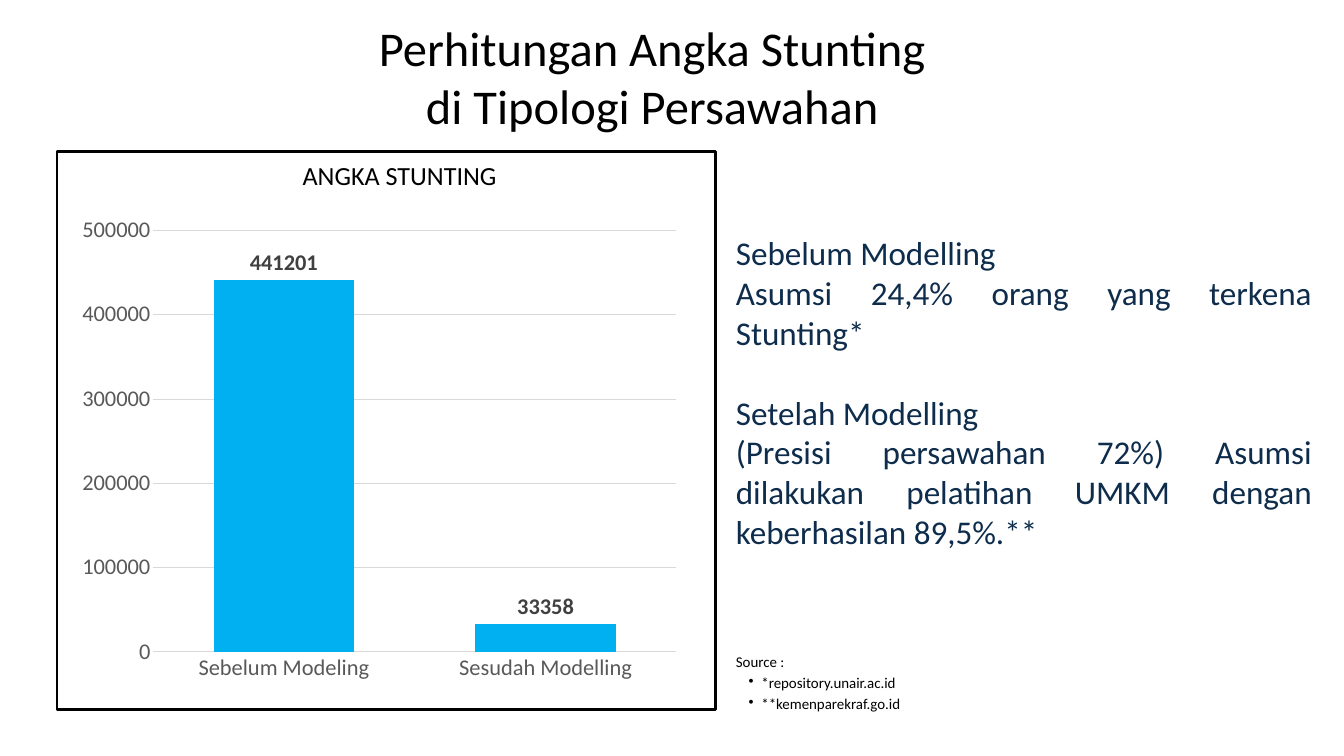
from dataclasses import dataclass

from lxml import etree
from pptx import Presentation
from pptx.chart import data as chart_data
from pptx.dml import color
from pptx.enum import chart as charts
from pptx.enum import shapes, text
from pptx.oxml import ns
from pptx.util import Inches, Pt


@dataclass(frozen=True)
class Theme:
    font: str = "Calibri"
    ink: str = "000000"
    navy: str = "0E2C4B"
    bar: str = "00B0F0"
    axis: str = "595959"
    grid: str = "D9D9D9"
    value: str = "404040"
    title: float = 52
    body: float = 35.5
    heading: float = 28
    chart: float = 24
    source: float = 16


class SlideBuilder:
    """Draws styled elements on one slide."""

    def __init__(self, slide, theme):
        self.slide = slide
        self.theme = theme

    def style(self, font, size, ink, bold=False):
        font.name = self.theme.font
        font.size = Pt(size)
        font.bold = bold
        font.color.rgb = color.RGBColor.from_string(ink)

    def fill_text(self, frame, lines, size, ink, spacing, align):
        frame.margin_left = frame.margin_right = 0
        frame.margin_top = frame.margin_bottom = 0
        frame.word_wrap = True
        frame.auto_size = text.MSO_AUTO_SIZE.NONE
        frame.vertical_anchor = text.MSO_ANCHOR.TOP
        frame.text = "\n".join(lines)
        for paragraph in frame.paragraphs:
            paragraph.alignment = align
            paragraph.line_spacing = Pt(spacing)
            paragraph.space_before = Pt(0)
            for run in paragraph.runs:
                self.style(run.font, size, ink)
        return frame.paragraphs

    def title(self, box, lines, spacing):
        heading = self.slide.shapes.title
        heading.left, heading.top, heading.width, heading.height = map(Inches, box)
        self.fill_text(heading.text_frame, lines, self.theme.title, self.theme.ink,
                       spacing, text.PP_ALIGN.CENTER)

    def text(self, box, lines, size, ink, spacing, align=text.PP_ALIGN.LEFT):
        frame = self.slide.shapes.add_textbox(*map(Inches, box)).text_frame
        return self.fill_text(frame, lines, size, ink, spacing, align)

    def bullet(self, paragraph):
        properties = paragraph._p.get_or_add_pPr()
        properties.set("marL", str(Inches(0.38)))
        properties.set("indent", str(Inches(-0.19)))
        mark = etree.SubElement(properties, ns.qn("a:buChar"))
        mark.set("char", "•")

    def frame(self, box):
        border = self.slide.shapes.add_shape(shapes.MSO_SHAPE.RECTANGLE, *map(Inches, box))
        border.shadow.inherit = False
        border.fill.background()
        border.line.color.rgb = color.RGBColor.from_string(self.theme.ink)
        border.line.width = Pt(3)

    def hairline(self, line):
        line.color.rgb = color.RGBColor.from_string(self.theme.grid)
        line.width = Pt(0.75)

    def column_chart(self, box, categories, name, values, top, step):
        theme = self.theme
        data = chart_data.CategoryChartData()
        data.categories = categories
        data.add_series(name, values)
        chart = self.slide.shapes.add_chart(
            charts.XL_CHART_TYPE.COLUMN_CLUSTERED, *map(Inches, box), data).chart
        chart.has_title = False
        chart.has_legend = False
        self.style(chart.font, theme.chart, theme.ink)

        for axis in (chart.category_axis, chart.value_axis):
            axis.major_tick_mark = axis.minor_tick_mark = charts.XL_TICK_MARK.NONE
            self.style(axis.tick_labels.font, theme.chart, theme.axis)
        self.hairline(chart.category_axis.format.line)
        scale = chart.value_axis
        scale.minimum_scale, scale.maximum_scale, scale.major_unit = 0, top, step
        scale.format.line.fill.background()
        self.hairline(scale.major_gridlines.format.line)

        plot = chart.plots[0]
        plot.vary_by_categories = False
        plot.gap_width, plot.overlap = 86, 82
        bars = plot.series[0]
        bars.format.fill.solid()
        bars.format.fill.fore_color.rgb = color.RGBColor.from_string(theme.bar)
        labels = bars.data_labels
        labels.show_value = True
        labels.position = charts.XL_LABEL_POSITION.OUTSIDE_END
        self.style(labels.font, theme.chart, theme.value, bold=True)


def main():
    deck = Presentation()
    deck.slide_width, deck.slide_height = Inches(20), Inches(11.25)
    theme = Theme()
    builder = SlideBuilder(deck.slides.add_slide(deck.slide_layouts[5]), theme)

    builder.frame((0.85, 2.25, 9.8, 8.31))
    builder.title((1.33, 0.27, 16.75, 1.72),
                  ["Perhitungan Angka Stunting", "di Tipologi Persawahan"], 62.4)

    assumptions = builder.text(
        (10.95, 3.46, 8.58, 5.25),
        ["Sebelum Modelling",
         "Asumsi 24,4% orang yang terkena Stunting*",
         "Setelah Modelling",
         "(Presisi persawahan 72%) Asumsi dilakukan pelatihan UMKM "
         "dengan keberhasilan 89,5%.**"],
        theme.body, theme.navy, 42.7, text.PP_ALIGN.JUSTIFY)
    assumptions[2].space_before = Pt(42.7)

    sources = builder.text(
        (10.95, 9.67, 5.38, 0.9),
        ["Source :", "*repository.unair.ac.id", "**kemenparekraf.go.id"],
        theme.source, theme.ink, 22.4)
    for source in sources[1:]:
        builder.bullet(source)

    builder.text((3.3, 2.37, 5.29, 0.45), ["ANGKA STUNTING"],
                 theme.heading, theme.ink, 33.6, text.PP_ALIGN.CENTER)
    builder.column_chart((1.04, 3.08, 9.21, 7.21),
                         ["Sebelum Modeling", "Sesudah Modelling"],
                         "Series 1", [441201, 33358], 500000, 100000)
    deck.save("out.pptx")


if __name__ == "__main__":
    main()
